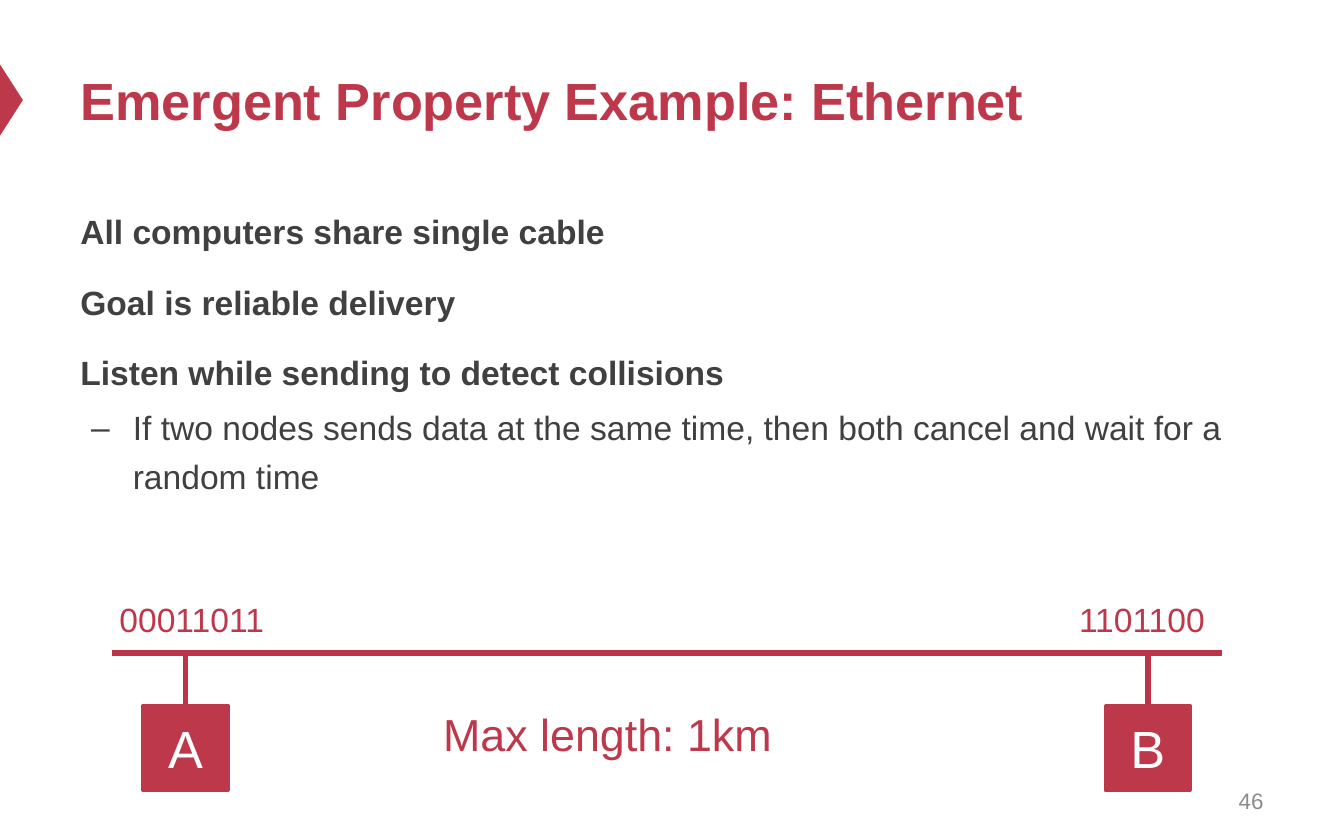
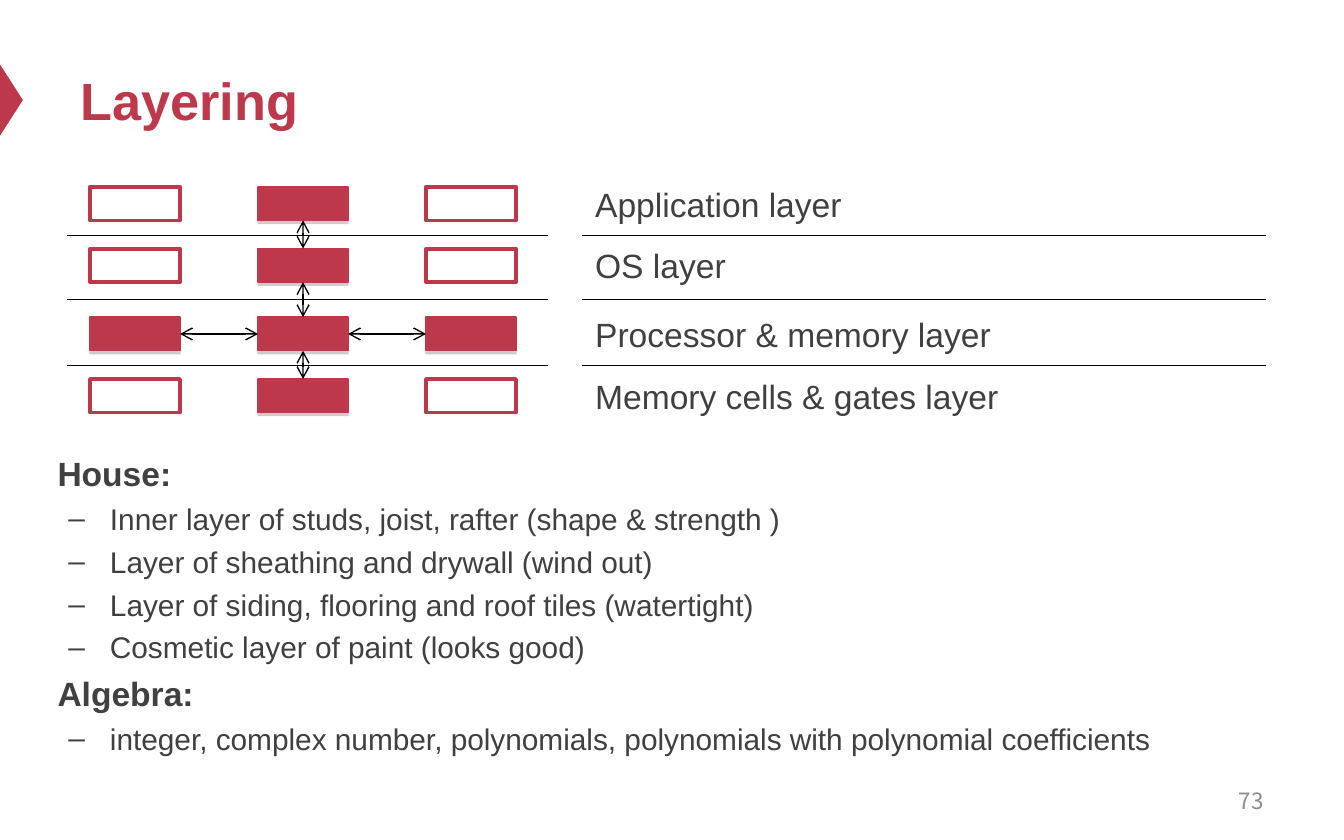
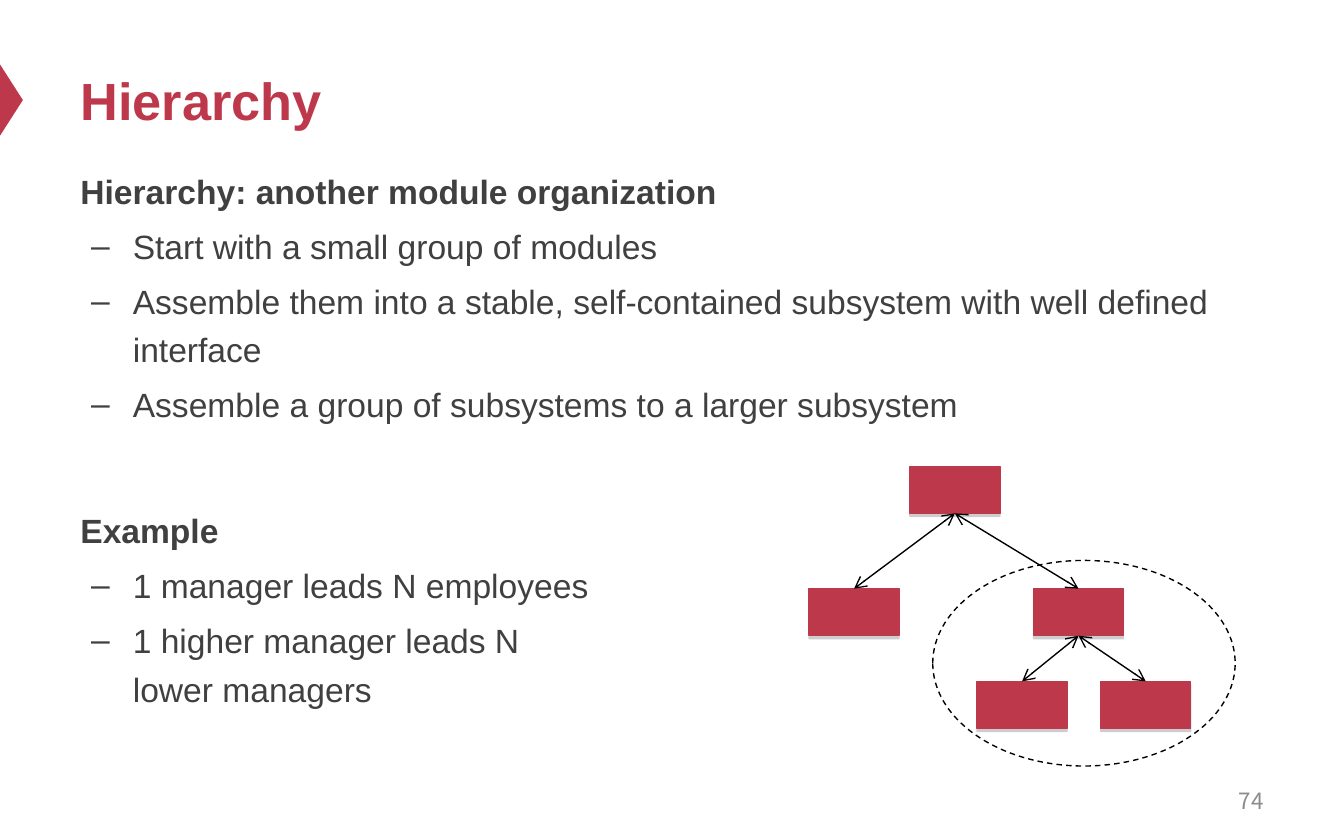
from pptx import Presentation
from pptx.dml.color import RGBColor
from pptx.enum.dml import MSO_LINE
from pptx.enum.shapes import MSO_CONNECTOR, MSO_SHAPE
from pptx.enum.text import MSO_ANCHOR, MSO_AUTO_SIZE, PP_ALIGN
from pptx.oxml.ns import qn
from pptx.util import Inches, Pt
from lxml.etree import SubElement

COLORS = {"accent": "BE384B", "cable": "BD3347", "text": "404040", "page": "8C8C8C",
          "white": "FFFFFF", "black": "000000", "shadow": "808080"}
FONT, CJK_FONT = "Arial", "Noto Sans CJK SC"
TOP, LEFT, BOTTOM, RIGHT = range(4)  # connection sites of a rectangle


def rgb(name):
    return RGBColor.from_string(COLORS[name])


def place(*lengths):
    return [Inches(v) for v in lengths]


def add_run(p, text, size, color, bold=False, font=FONT):
    r = p.add_run()
    r.text = text
    r.font.name, r.font.size, r.font.bold = font, Pt(size), bold
    r.font.color.rgb = rgb(color)


# Shared drawing helpers
def add_text(s, x, y, w, h, text, size, color, align=PP_ALIGN.LEFT,
             wrap=True, anchor=MSO_ANCHOR.TOP, font=FONT):
    tf = s.shapes.add_textbox(*place(x, y, w, h)).text_frame
    tf.word_wrap = wrap
    tf.vertical_anchor = anchor
    p = tf.paragraphs[0]
    p.alignment = align
    add_run(p, text, size, color, font=font)


def add_box(s, x, y, w, h, fill="accent", line="accent", width=0.75, shape=MSO_SHAPE.RECTANGLE):
    sp = s.shapes.add_shape(shape, *place(x, y, w, h))
    sp.shadow.inherit = False
    if fill:
        sp.fill.solid()
        sp.fill.fore_color.rgb = rgb(fill)
    else:
        sp.fill.background()
    if line:
        sp.line.color.rgb = rgb(line)
        sp.line.width = Pt(width)
    else:
        sp.line.fill.background()
    return sp


def add_module(s, x, y, w, h, solid=True):
    """A solid module with a hard shadow, or an outlined one."""
    if not solid:
        return add_box(s, x, y, w, h, "white", width=2)
    sp = add_box(s, x, y, w, h)
    effects = sp._element.spPr.find(qn("a:effectLst"))
    shadow = SubElement(effects, qn("a:outerShdw"), dist=str(Pt(1.6)), dir="5400000",
                        algn="ctr", rotWithShape="0")
    color = SubElement(shadow, qn("a:srgbClr"), val=COLORS["shadow"])
    SubElement(color, qn("a:alpha"), val="38000")
    return sp


def add_line(s, x1, y1, x2, y2, color="black", width=0.75):
    line = s.shapes.add_connector(MSO_CONNECTOR.STRAIGHT, *place(x1, y1, x2, y2))
    line.line.color.rgb = rgb(color)
    line.line.width = Pt(width)
    SubElement(line._element.spPr, qn("a:effectLst"))
    return line


def add_link(s, start, start_site, end, end_site):
    """A two-headed arrow between two modules."""
    link = add_line(s, 0, 0, 1, 1)
    link.begin_connect(start, start_site)
    link.end_connect(end, end_site)
    ln = link.line._get_or_add_ln()
    for end_tag in ("a:headEnd", "a:tailEnd"):
        SubElement(ln, qn(end_tag), type="arrow")


def add_body(s, x, y, w, h, items, sub_size=18, head_gap=12, sub_gap=3.6):
    """Items are (level, text) or (level, text, gap before)."""
    tf = s.shapes.add_textbox(*place(x, y, w, h)).text_frame
    tf.word_wrap = True
    for i, (level, text, *gap) in enumerate(items):
        p = tf.paragraphs[0] if i == 0 else tf.add_paragraph()
        if level:
            pPr = p._p.get_or_add_pPr()
            pPr.set("marL", str(Inches(0.39)))
            pPr.set("indent", str(Inches(-0.31)))
            SubElement(pPr, qn("a:buFont"), typeface=FONT)
            SubElement(pPr, qn("a:buChar"), char="–")
        p.level = level
        p.line_spacing = 1.2
        if i:
            p.space_before = Pt(gap[0] if gap else sub_gap if level else head_gap)
        for j, part in enumerate(text.split("\n")):
            if j:
                p.add_line_break()
            add_run(p, part, sub_size if level else 18, "text", bold=not level)


def add_slide(prs, title, page, page_font=CJK_FONT):
    s = prs.slides.add_slide(prs.slide_layouts[5])
    # Side marker
    marker = add_box(s, -0.18, 0.66, 0.53, 0.17, line=None, shape=MSO_SHAPE.ISOSCELES_TRIANGLE)
    marker.rotation = 90
    # Title
    sp = s.shapes.title
    sp.left, sp.top, sp.width, sp.height = place(0.5, 0.25, 9, 0.98)
    tf = sp.text_frame
    tf.auto_size = MSO_AUTO_SIZE.NONE
    tf.vertical_anchor = MSO_ANCHOR.MIDDLE
    tf.paragraphs[0].alignment = PP_ALIGN.LEFT
    add_run(tf.paragraphs[0], title, 28, "accent", bold=True)
    # Page number
    add_text(s, 7.17, 5.79, 2.33, 0.33, str(page), 12, "page", PP_ALIGN.RIGHT,
             anchor=MSO_ANCHOR.MIDDLE, font=page_font)
    return s


# Shared cable with two nodes
def draw_cable(s, x, y, w):
    add_line(s, x, y, x + w, y, "cable", 3)
    for name, node_x in (("A", x + 0.55), ("B", x + w - 0.55)):
        add_line(s, node_x, y, node_x, y + 0.39, "cable", 3)
        sp = add_box(s, node_x - 0.315, y + 0.39, 0.63, 0.63, width=2)
        tf = sp.text_frame
        tf.vertical_anchor = MSO_ANCHOR.MIDDLE
        tf.paragraphs[0].alignment = PP_ALIGN.CENTER
        add_run(tf.paragraphs[0], name, 28, "white")
    add_text(s, x + 1.19, y + 0.35, 5, 0.5, "Max length: 1km", 24, "accent", PP_ALIGN.CENTER)
    for bits, dx, bits_w in (("00011011", -0.04, 1.29), ("1101100", 7.1, 1.15)):
        add_text(s, x + dx, y - 0.45, bits_w, 0.4, bits, 18, "accent", wrap=False)


# Four layers of modules with their names
def draw_layers(s, x, y):
    layers = [("Application layer", 0, 3.58), ("OS layer", 0.46, 3.25),
              ("Processor & memory layer", 0.97, 4.58), ("Memory cells & gates layer", 1.43, 4.92)]
    for dy in (0.36, 0.84, 1.33):
        add_line(s, x, y + dy, x + 3.58, y + dy)
        add_line(s, x + 3.83, y + dy, x + 8.92, y + dy)
    grid = []
    for row, (name, dy, label_w) in enumerate(layers):
        grid.append([add_module(s, x + 0.17 + 1.25 * col, y + dy, 0.67, 0.25,
                                solid=col == 1 or row == 2) for col in range(3)])
        add_text(s, x + 3.83, y + dy, label_w, 0.25, name, 18, "text", anchor=MSO_ANCHOR.MIDDLE)
    for upper, lower in zip(grid, grid[1:]):
        add_link(s, upper[1], BOTTOM, lower[1], TOP)
    for left, right in zip(grid[2], grid[2][1:]):
        add_link(s, left, RIGHT, right, LEFT)


# Tree of modules with one subsystem circled
def draw_tree(s, x, y):
    spots = {"root": (0.75, 0), "leaf": (0, 0.91), "subsystem": (1.67, 0.91),
             "part 1": (1.25, 1.6), "part 2": (2.17, 1.6)}
    modules = {name: add_module(s, x + dx, y + dy, 0.67, 0.35)
               for name, (dx, dy) in spots.items()}
    for parent, child in (("root", "leaf"), ("root", "subsystem"),
                          ("subsystem", "part 1"), ("subsystem", "part 2")):
        add_link(s, modules[parent], BOTTOM, modules[child], TOP)
    ring = add_box(s, x + 0.92, y + 0.7, 2.25, 1.53, None, "black", shape=MSO_SHAPE.OVAL)
    ring.line.dash_style = MSO_LINE.DASH


def ethernet_slide(prs):
    s = add_slide(prs, "Emergent Property Example: Ethernet", 46, FONT)
    add_body(s, 0.5, 1.46, 9, 2.93, [
        (0, "All computers share single cable"),
        (0, "Goal is reliable delivery"),
        (0, "Listen while sending to detect collisions"),
        (1, "If two nodes sends data at the same time, then both cancel and wait for a random time"),
    ])
    draw_cable(s, 0.83, 4.86, 8.26)


def layering_slide(prs):
    s = add_slide(prs, "Layering", 73)
    draw_layers(s, 0.5, 1.39)
    add_body(s, 0.33, 3.26, 9.67, 2.85, [
        (0, "House:"),
        (1, "Inner layer of studs, joist, rafter (shape & strength )"),
        (1, "Layer of sheathing and drywall (wind out)"),
        (1, "Layer of siding, flooring and roof tiles (watertight)"),
        (1, "Cosmetic layer of paint (looks good)"),
        (0, "Algebra:"),
        (1, "integer, complex number, polynomials, polynomials with polynomial coefficients"),
    ], sub_size=16, head_gap=0, sub_gap=0)


def hierarchy_slide(prs):
    s = add_slide(prs, "Hierarchy", 74)
    add_body(s, 0.5, 1.16, 9, 4.33, [
        (0, "Hierarchy: another module organization"),
        (1, "Start with a small group of modules"),
        (1, "Assemble them into a stable, self-contained subsystem with well defined interface"),
        (1, "Assemble a group of subsystems to a larger subsystem"),
        (0, "Example", 41.5),
        (1, "1 manager leads N employees"),
        (1, "1 higher manager leads N \nlower managers"),
    ])
    draw_tree(s, 6.02, 3.47)


def main():
    prs = Presentation()
    prs.slide_width, prs.slide_height = place(10, 6.25)
    ethernet_slide(prs)
    layering_slide(prs)
    hierarchy_slide(prs)
    prs.save("out.pptx")


if __name__ == "__main__":
    main()
